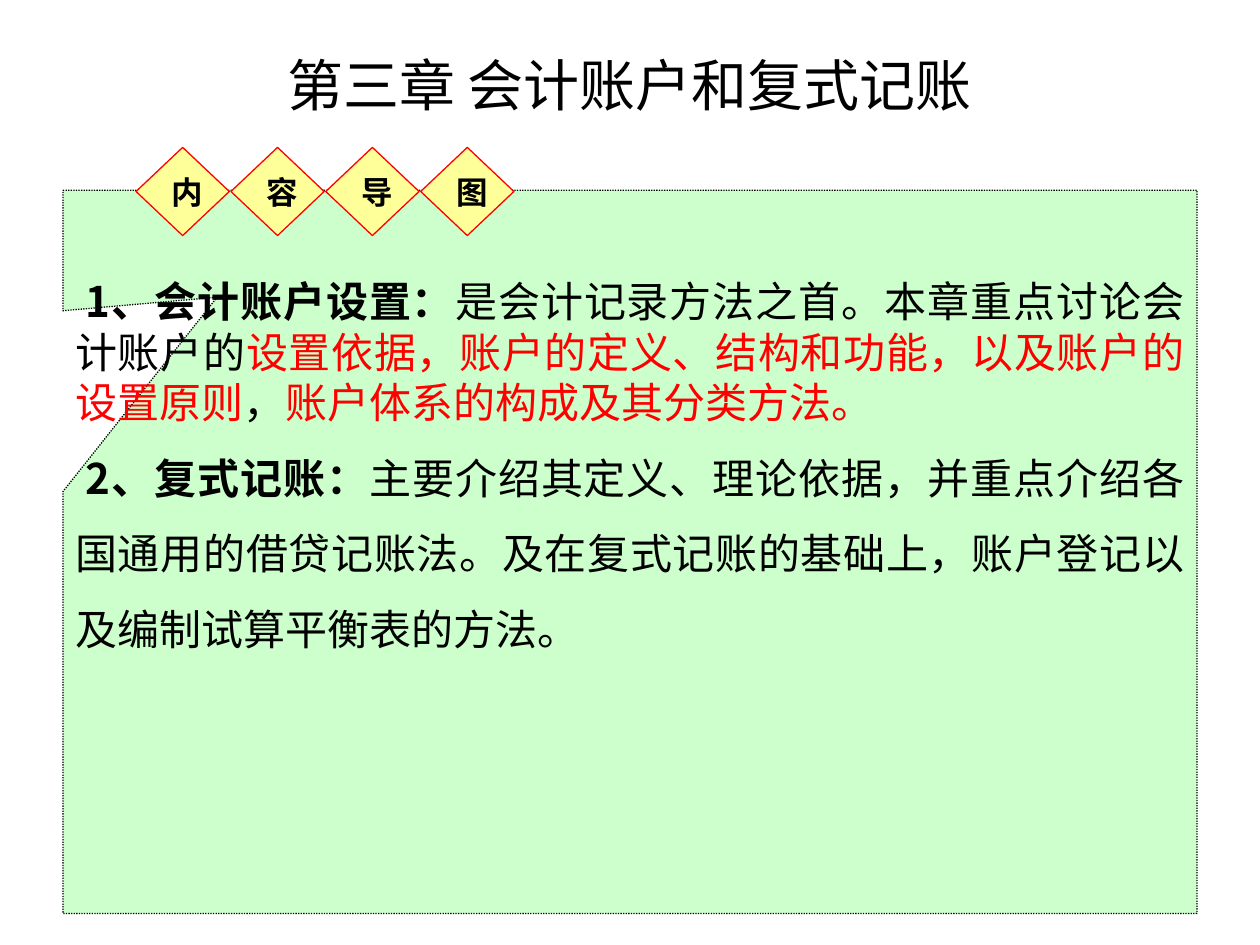
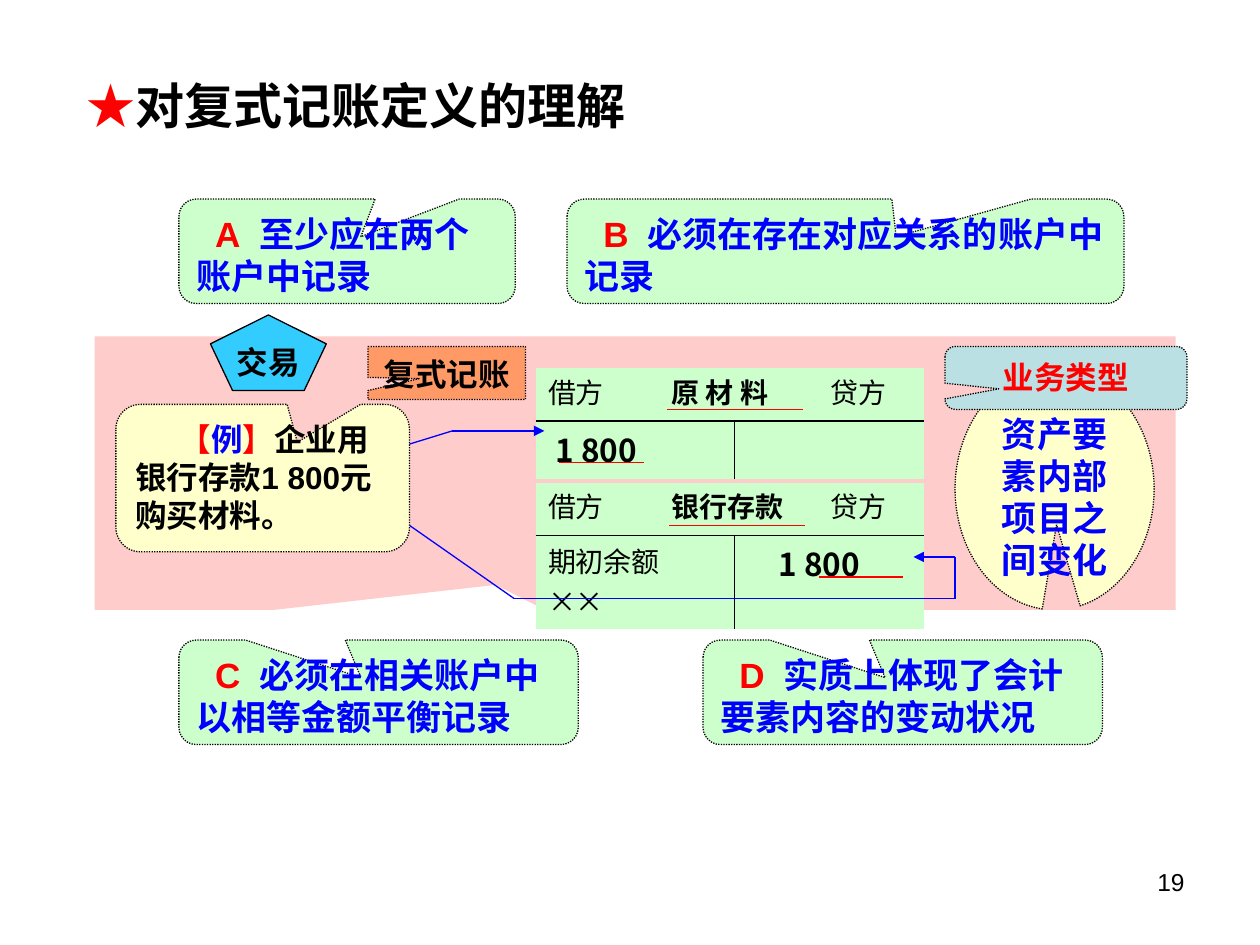
from lxml.etree import SubElement
from pptx import Presentation
from pptx.dml.color import RGBColor
from pptx.enum.dml import MSO_LINE
from pptx.enum.shapes import MSO_CONNECTOR, MSO_SHAPE
from pptx.enum.text import MSO_ANCHOR, PP_ALIGN
from pptx.oxml.ns import qn
from pptx.util import Inches, Pt

CJK_FONT = "Noto Sans CJK SC"
BLACK, RED, BLUE = "000000", "FF0000", "0000FF"
GREEN, CREAM, YELLOW, PINK = "CCFFCC", "FFFFCC", "FFFF99", "FFCCCC"
ORANGE, TEAL, SKY = "FF9966", "BBE0E3", "33CCFF"

CHAPTER_TITLE = [("第三章 会计账户和复式记账", BLACK, False)]
GUIDE_LABELS = "内容导图"
GUIDE_POINTS = [
    (1.2, [
        ("1、会计账户设置：", BLACK, True),
        ("是会计记录方法之首。本章重点讨论会计账户的", BLACK, False),
        ("设置依据，账户的定义、结构和功能，以及账户的设置原则", RED, False),
        ("，", BLACK, False),
        ("账户体系的构成及其分类方法。", RED, False),
    ]),
    (1.8, [
        ("2、复式记账：", BLACK, True),
        ("主要介绍其定义、理论依据，并重点介绍各国通用的借贷记账法。"
         "及在复式记账的基础上，账户登记以及编制试算平衡表的方法。", BLACK, False),
    ]),
]

DEFINITION_TITLE = [("★", RED, False), ("对复式记账定义的理解", BLACK, True)]
PRINCIPLES = [
    ("A", "至少应在两个账户中记录", (1.42, 1.58, 2.67), (0.041, -0.14), 0.63),
    ("B", "必须在存在对应关系的账户中记录", (4.5, 1.58, 4.42), (0.091, -0.14), 0.65),
    ("C", "必须在相关账户中以相等金额平衡记录", (1.42, 5.08, 3.17), (-0.044, -0.14), 0.57),
    ("D", "实质上体现了会计要素内容的变动状况", (5.58, 5.08, 3.17), (-0.044, -0.14), 0.57),
]
ACCOUNTS = [
    ("银行存款", 3.83, 0.74, ["期初余额", "××"], 0, ["1 800"], 0.25),
    ("原 材 料", 2.92, 0.46, ["1 800"], 0.06, [], 0),
]
EXAMPLE = [("【", RED, True), ("例", BLUE, True), ("】", RED, True),
           ("企业用银行存款1 800元购买材料。", BLACK, True)]
POSTING_PATHS = [
    [(3.07, 3.58), (3.59, 3.42), (4.32, 3.42)],
    [(3.25, 4.17), (4.08, 4.75), (7.58, 4.75), (7.58, 4.42), (7.25, 4.42)],
]
UNDERLINES = [(5.29, 3.25, 1.08), (5.31, 4.17, 1.08), (4.44, 3.67, 0.67), (6.5, 4.58, 0.67)]
PAGE_NUMBER = "19"


def color(hex_string):
    return RGBColor.from_string(hex_string)


def write_paragraph(paragraph, runs, size, font="Arial", align=PP_ALIGN.LEFT,
                    spacing=None, indent=0, tabs=()):
    properties = paragraph._p.get_or_add_pPr()
    if indent:
        properties.set("marL", "0")
        properties.set("indent", str(Inches(indent)))
    if tabs:
        tab_list = SubElement(properties, qn("a:tabLst"))
        for position in tabs:
            SubElement(tab_list, qn("a:tab"), pos=str(Inches(position)), algn="l")
    paragraph.alignment = align
    paragraph.space_before = Pt(0)
    if spacing:
        paragraph.line_spacing = Pt(round(size * spacing, 1))
    for text, hex_string, bold in runs:
        run = paragraph.add_run()
        run.text = text
        run.font.size = Pt(size)
        run.font.bold = bold
        run.font.color.rgb = color(hex_string)
        run.font.name = font
        SubElement(run._r.get_or_add_rPr(), qn("a:ea"), typeface=CJK_FONT)


def set_margins(frame, left=0.1, top=0.07, right=0.1, bottom=0.05):
    frame.margin_left, frame.margin_top = Inches(left), Inches(top)
    frame.margin_right, frame.margin_bottom = Inches(right), Inches(bottom)


def add_box(slide, kind, at, fill, line=None, tip=(), dotted=True):
    shape = slide.shapes.add_shape(kind, *map(Inches, at))
    shape.shadow.inherit = False
    for index, value in enumerate(tip):
        shape.adjustments[index] = value
    shape.fill.solid()
    shape.fill.fore_color.rgb = color(fill)
    if line:
        shape.line.color.rgb = color(line)
        shape.line.width = Pt(0.75)
        if dotted:
            shape.line.dash_style = MSO_LINE.ROUND_DOT
    else:
        shape.line.fill.background()
    frame = shape.text_frame
    frame.word_wrap = True
    frame.vertical_anchor = MSO_ANCHOR.TOP
    set_margins(frame)
    return shape


def add_line(slide, start, end, hex_string, arrow=False):
    line = slide.shapes.add_connector(MSO_CONNECTOR.STRAIGHT, *map(Inches, start + end))
    line.line.color.rgb = color(hex_string)
    line.line.width = Pt(0.75)
    if arrow:
        SubElement(line.line._get_or_add_ln(), qn("a:tailEnd"), type="triangle")
    SubElement(line._element.spPr, qn("a:effectLst"))


def add_title_slide(presentation, runs, at, size, align):
    slide = presentation.slides.add_slide(presentation.slide_layouts[5])
    title = slide.shapes.title
    title.left, title.top, title.width, title.height = map(Inches, at)
    title.text_frame.vertical_anchor = MSO_ANCHOR.MIDDLE
    write_paragraph(title.text_frame.paragraphs[0], runs, size, CJK_FONT, align)
    return slide


def style_cell(cell, borders):
    properties = cell._tc.get_or_add_tcPr()
    for side in "LRTB":
        line = SubElement(properties, qn(f"a:ln{side}"), w=str(Pt(1)))
        if side in borders:
            fill = SubElement(line, qn("a:solidFill"))
            SubElement(fill, qn("a:srgbClr"), val=BLACK)
        else:
            SubElement(line, qn("a:noFill"))
    cell.fill.solid()
    cell.fill.fore_color.rgb = color(GREEN)


def add_account(slide, name, top, entry_height, debit, debit_indent, credit, credit_indent):
    header_height, widths = 0.42, (1.58, 1.5)
    table = slide.shapes.add_table(2, 2, Inches(4.25), Inches(top), Inches(sum(widths)),
                                   Inches(header_height + entry_height)).table
    for column, width in zip(table.columns, widths):
        column.width = Inches(width)
    for row, height in zip(table.rows, (header_height, entry_height)):
        row.height = Inches(height)
    for row, sides in enumerate((("B", "B"), ("TR", "TL"))):
        for column, borders in enumerate(sides):
            style_cell(table.cell(row, column), borders)
    header = table.cell(0, 0)
    header.merge(table.cell(0, 1))
    header.vertical_anchor = MSO_ANCHOR.MIDDLE
    write_paragraph(header.text_frame.paragraphs[0],
                    [("借方\t", BLACK, False), (name, BLACK, True), ("\t贷方", BLACK, False)],
                    16, "Times New Roman", spacing=1.2, tabs=(0.98, 2.24))
    for column, (entries, indent) in enumerate(((debit, debit_indent), (credit, credit_indent))):
        frame = table.cell(1, column).text_frame
        for index, entry in enumerate(entries):
            paragraph = frame.add_paragraph() if index else frame.paragraphs[0]
            amount = entry[0].isdigit()
            write_paragraph(paragraph, [(entry, BLACK, amount)], 18 if amount else 16,
                            CJK_FONT, spacing=1.4, indent=indent)


def build_guide(presentation):
    slide = add_title_slide(presentation, CHAPTER_TITLE, (0.5, 0.25, 9, 0.83), 32, PP_ALIGN.CENTER)
    panel = add_box(slide, MSO_SHAPE.RECTANGULAR_CALLOUT, (0.5, 1.51, 9, 5.74),
                    GREEN, BLACK, (-0.364, -0.352))
    frame = panel.text_frame
    set_margins(frame, top=0.68)
    for index, (spacing, runs) in enumerate(GUIDE_POINTS):
        paragraph = frame.add_paragraph() if index else frame.paragraphs[0]
        write_paragraph(paragraph, runs, 24, CJK_FONT, PP_ALIGN.JUSTIFY, spacing, indent=0.08)
    for index, label in enumerate(GUIDE_LABELS):
        diamond = add_box(slide, MSO_SHAPE.DIAMOND, (1.08 + 0.753 * index, 1.17, 0.74, 0.7),
                          YELLOW, RED, dotted=False)
        set_margins(diamond.text_frame, 0.1, 0, 0, 0)
        diamond.text_frame.vertical_anchor = MSO_ANCHOR.MIDDLE
        write_paragraph(diamond.text_frame.paragraphs[0], [(label, BLACK, True)], 18,
                        "Times New Roman")


def build_definition(presentation):
    slide = add_title_slide(presentation, DEFINITION_TITLE, (0.59, 0.5, 8.91, 0.67), 28, PP_ALIGN.LEFT)
    rounded = MSO_SHAPE.ROUNDED_RECTANGULAR_CALLOUT
    for letter, text, place, tip, text_start in PRINCIPLES:
        box = add_box(slide, rounded, place + (0.83,), GREEN, BLACK, tip)
        write_paragraph(box.text_frame.paragraphs[0],
                        [(letter + "\t", RED, True), (text, BLUE, True)], 20,
                        spacing=1.2, indent=0.15, tabs=(text_start,))
    add_box(slide, MSO_SHAPE.RECTANGULAR_CALLOUT, (0.75, 2.67, 8.58, 2.17), PINK,
            tip=(-0.129, 0.409))
    for account in ACCOUNTS:
        add_account(slide, *account)
    for points in POSTING_PATHS:
        for start, end in zip(points, points[1:]):
            add_line(slide, start, end, BLUE, arrow=end == points[-1])

    example = add_box(slide, rounded, (0.92, 3.21, 2.33, 1.17), CREAM, BLACK, (0.118, -0.243))
    write_paragraph(example.text_frame.paragraphs[0], EXAMPLE, 18, spacing=1.2, indent=0.35)
    deal = add_box(slide, MSO_SHAPE.REGULAR_PENTAGON, (1.67, 2.5, 0.92, 0.6), SKY, BLACK,
                   dotted=False)
    deal.text_frame.word_wrap = False
    deal.text_frame.vertical_anchor = MSO_ANCHOR.MIDDLE
    set_margins(deal.text_frame, 0, 0, 0, 0)
    write_paragraph(deal.text_frame.paragraphs[0], [("交易", BLACK, True)], 18,
                    align=PP_ALIGN.CENTER, spacing=1.2)

    centered_callouts = [
        (MSO_SHAPE.OVAL_CALLOUT, (7.58, 2.92, 1.58, 1.92), CREAM, (0.01, 0.148),
         "资产要素内部项目之间变化", BLUE, 20),
        (rounded, (7.5, 2.75, 1.92, 0.5), TEAL, (-0.278, 0.174), "业务类型", RED, 18),
        (MSO_SHAPE.RECTANGULAR_CALLOUT, (2.92, 2.75, 1.25, 0.42), ORANGE, (-0.175, 0.108),
         "复式记账", BLACK, 18),
    ]
    for kind, at, fill, tip, text, text_color, size in centered_callouts:
        box = add_box(slide, kind, at, fill, BLACK, tip)
        write_paragraph(box.text_frame.paragraphs[0], [(text, text_color, True)], size,
                        align=PP_ALIGN.CENTER, spacing=1.2)
    for left, top, width in UNDERLINES:
        add_line(slide, (left, top), (left + width, top), RED)

    number = slide.shapes.add_textbox(*map(Inches, (7.17, 6.83, 2.33, 0.52)))
    number.text_frame.word_wrap = True
    write_paragraph(number.text_frame.paragraphs[0], [(PAGE_NUMBER, BLACK, False)], 14,
                    align=PP_ALIGN.RIGHT)


def main():
    presentation = Presentation()
    presentation.slide_width, presentation.slide_height = Inches(10), Inches(7.5)
    build_guide(presentation)
    build_definition(presentation)
    presentation.save("out.pptx")


if __name__ == "__main__":
    main()
